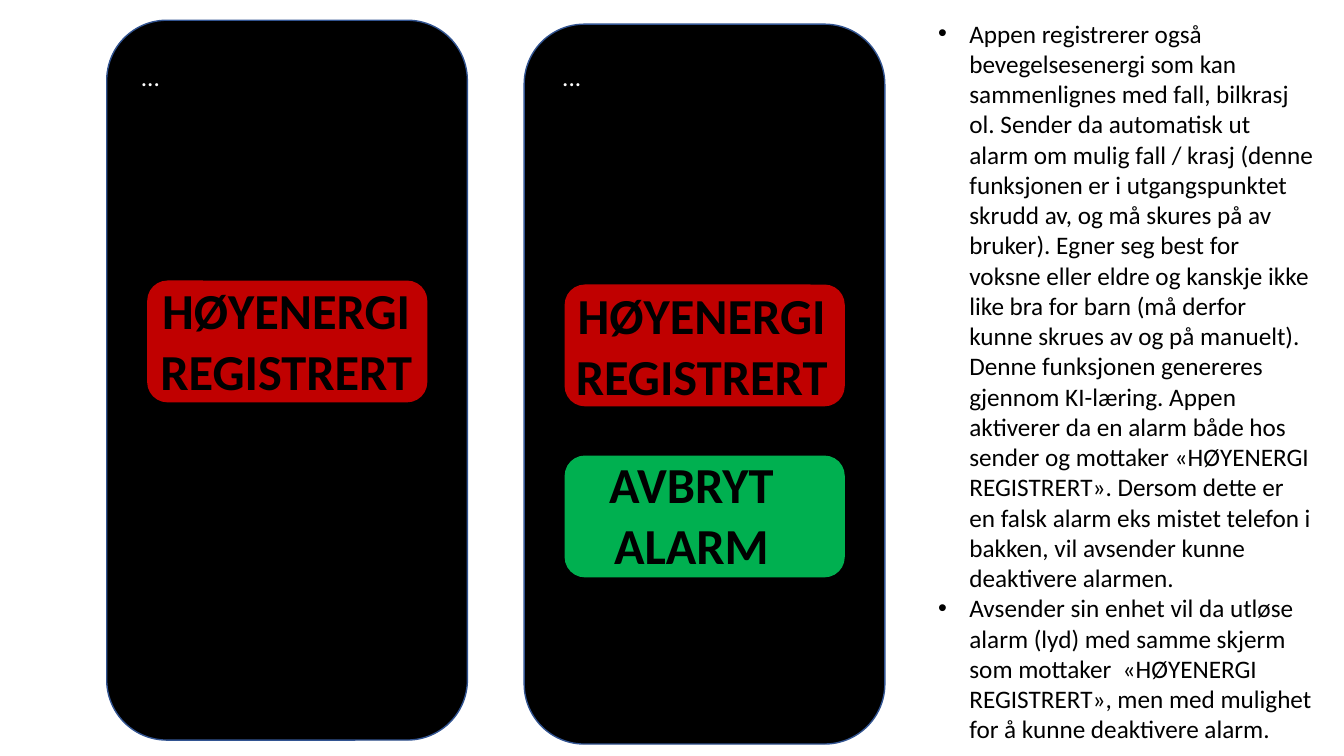
from lxml import etree
from pptx import Presentation
from pptx.dml.color import RGBColor
from pptx.enum.shapes import MSO_SHAPE as Kind
from pptx.enum.text import MSO_AUTO_SIZE as Fit, PP_ALIGN as Align
from pptx.oxml.ns import qn
from pptx.util import Cm, Pt

BLACK, WHITE, RED, GREEN, BLUE = "000000", "FFFFFF", "C00000", "00B050", "325491"
ALERT = ["HØYENERGI", "REGISTRERT"]
CANCEL = ["AVBRYT", "ALARM"]
NOTES = [
    "Appen registrerer også bevegelsesenergi som kan sammenlignes med fall, "
    "bilkrasj ol. Sender da automatisk ut alarm om mulig fall / krasj (denne "
    "funksjonen er i utgangspunktet skrudd av, og må skures på av bruker). "
    "Egner seg best for voksne eller eldre og kanskje ikke like bra for barn "
    "(må derfor kunne skrues av og på manuelt). Denne funksjonen genereres "
    "gjennom KI-læring. Appen aktiverer da en alarm både hos sender og mottaker "
    "«HØYENERGI REGISTRERT». Dersom dette er en falsk alarm eks mistet telefon "
    "i bakken, vil avsender kunne deaktivere alarmen.",
    "Avsender sin enhet vil da utløse alarm (lyd) med samme skjerm som mottaker  "
    "«HØYENERGI REGISTRERT», men med mulighet for å kunne deaktivere alarm.",
]


def paint(part, color):
    part.solid()
    part.fore_color.rgb = RGBColor.from_string(color)


def panel(slide, x, y, w, h, color, edge=None):
    """Rounded rectangle with an optional thin edge."""
    shape = slide.shapes.add_shape(Kind.ROUNDED_RECTANGLE, Cm(x), Cm(y), Cm(w), Cm(h))
    shape.shadow.inherit = False
    paint(shape.fill, color)
    if edge:
        paint(shape.line.fill, edge)
        shape.line.width = Pt(1)
    else:
        shape.line.fill.background()


def write(slide, x, y, w, h, lines, size=18, color=BLACK, wrap=True):
    """Text box with one paragraph per line; returns the paragraphs."""
    frame = slide.shapes.add_textbox(Cm(x), Cm(y), Cm(w), Cm(h)).text_frame
    frame.word_wrap = wrap
    frame.auto_size = Fit.SHAPE_TO_FIT_TEXT
    for i, line in enumerate(lines):
        para = frame.paragraphs[0] if i == 0 else frame.add_paragraph()
        run = para.add_run()
        run.text = line
        run.font.size, run.font.name = Pt(size), "Calibri"
        paint(run.font.fill, color)
    return frame.paragraphs


def button(slide, x, y, color, lines, dx, dy, width=6.91, wrap=False):
    """Coloured button with its bold, outlined label at an offset."""
    panel(slide, x, y, 7.06, 3.07, color)
    for para in write(slide, x + dx, y + dy, width, 3.33, lines, 36, wrap=wrap):
        para.alignment = Align.CENTER
        font = para.runs[0].font
        font.bold = True
        # White text outline
        line = etree.Element(qn("a:ln"), w=str(Pt(0.75)))
        fill = etree.SubElement(line, qn("a:solidFill"))
        etree.SubElement(fill, qn("a:srgbClr"), val=WHITE)
        para.runs[0]._r.get_or_add_rPr().insert(0, line)


def phone(slide, x, y, dots, dx, dy):
    """Phone body, menu dots and alert button."""
    panel(slide, x, y, 9.09, 18.14, BLACK, BLUE)
    write(slide, x + dots, 1.42, 1.4, 1.02, ["..."], color=WHITE)
    button(slide, x + 1.02, y + 6.56, RED, ALERT, dx, dy)


def notes(slide, x, y, w, h):
    """Bulleted description."""
    for para in write(slide, x, y, w, h, NOTES):
        props = para._p.get_or_add_pPr()
        props.set("marL", str(Cm(0.79)))
        props.set("indent", str(Cm(-0.79)))
        etree.SubElement(props, qn("a:buFont"), typeface="Arial")
        etree.SubElement(props, qn("a:buChar"), char="•")


def main():
    deck = Presentation()
    deck.slide_width, deck.slide_height = Cm(33.87), Cm(19.05)
    slide = deck.slides.add_slide(deck.slide_layouts[6])
    # Receiver, description, sender
    phone(slide, 2.69, 0.51, 0.61, 0.05, -0.15)
    notes(slide, 23.39, 0.33, 9.98, 18.72)
    phone(slide, 13.21, 0.61, 0.71, 0, -0.13)
    # The sender can cancel the alarm
    button(slide, 14.23, 11.48, GREEN, CANCEL, -1.35, -0.18, 9.09, True)
    deck.save("out.pptx")


if __name__ == "__main__":
    main()
